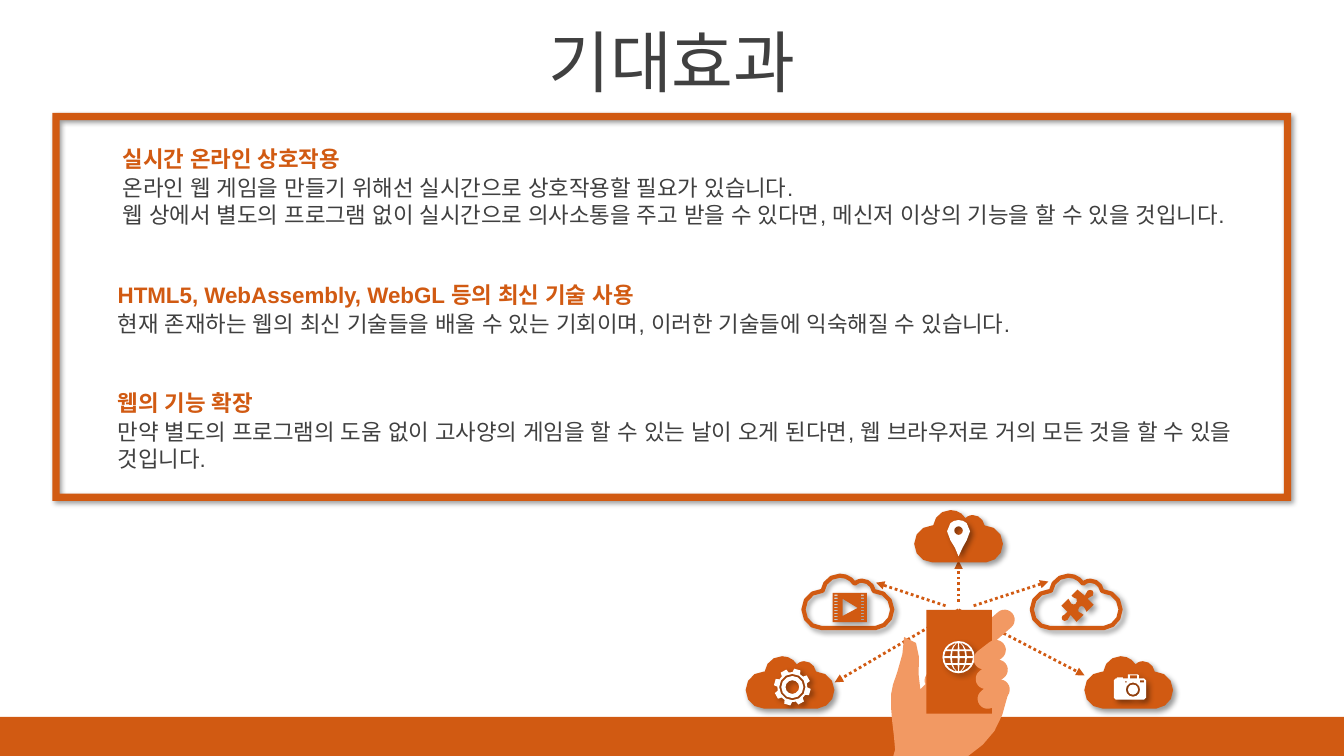
from math import cos, radians, sin, sqrt

from lxml import etree
from pptx import Presentation
from pptx.dml.color import RGBColor
from pptx.enum import dml, shapes, text
from pptx.oxml.ns import qn
from pptx.util import Pt

COLORS = {"orange": "D15A12", "skin": "F29963", "white": "FFFFFF", "gray": "404040", "black": "000000"}
FONT = "Arial"

CLOUD = """M 26 0 C 30.5 0 34.4 2.2 36.6 5.8 C 38.2 4.3 39.8 3.6 41.8 3.6
C 46 3.6 49.5 6.7 50.3 11 C 57.5 11 63.4 16.9 63.4 24.2 C 63.4 31 58.3 36.8 51.5 37.4
L 13 37.4 C 5.8 37.4 0 31.5 0 24.2 C 0 16.9 5.8 11 13 11 L 13.6 11 C 14.3 5 19.4 0 26 0"""
HAND = """M 15.8 0 C 16.6 15.8 5.8 35.3 6.5 41 C 5.8 55.4 8.6 67 9.4 80.6 L 0 112.3 L 56.2 111.6
C 58.3 103.7 58.3 95 59.8 86.4 C 79.2 73.4 85 63.4 90 41 L 61.2 4.3 L 27.4 37.4
C 23 25.9 33.1 0 15.8 0"""
PIN = """M 0 0 C 2.2 0 4.3 0.7 5.8 2.2 C 9.4 5.8 8.6 10 5.8 14.4 C 3.6 18 2.2 20.9 0 25.9
C -2.2 20.2 -2.9 18.7 -5.8 14.4 C -8.6 10 -9.4 5.8 -5.8 2.2 C -4.3 0.7 -2.2 0 0 0"""
PUZZLE = """M 22.3 0.7 C 23 1.4 23 2.9 22.3 4.3 C 20.9 5.8 19.4 5 18.7 6.5 L 23 10.8 L 18 15.8
C 16.6 14.4 17.3 13 15.8 12.2 C 15.1 11.5 13.7 11.5 13 12.2 C 12.2 13 11.5 15.1 12.2 15.8
C 14.4 17.3 14.4 16.6 15.8 18 L 10.8 23 L 6.5 18 C 5 19.4 5.8 20.2 4.3 21.6
C 2.9 23 1.4 22.3 0.7 21.6 C 0 20.9 0 19.4 0.7 18.7 C 2.2 17.3 2.9 18 4.3 15.8
L 0 11.5 L 5 6.5 C 6.5 7.9 5.8 9.4 7.2 10.1 C 7.9 10.8 9.4 10.8 10.1 10.1
C 10.8 9.4 11.5 7.9 10.8 6.5 C 8.6 5 8.6 6.5 7.2 4.3 L 11.5 0 L 16.6 4.3
C 18 2.9 17.3 2.2 18.7 0.7 C 19.4 0 21.6 0 22.3 0.7"""
CAMERA = """M 10 0 L 17 0 L 18 0.7 L 18 2.9 L 21.6 2.9 L 23 4.3 L 23 16.6 L 21.6 18 L 1.4 18
L 0 16.6 L 0 4.3 L 1.4 2.9 L 2.2 2.9 L 2.2 2.2 L 6.5 2.2 L 6.5 2.9 L 10 2.9"""


def trace(outline, steps=2):
    """Turn M, L and C commands into one contour of points."""
    points = []
    for part in outline.replace("M", "|").replace("L", "|").replace("C", "|").split("|")[1:]:
        n = [float(v) for v in part.split()]
        if len(n) == 2:
            points.append(tuple(n))
            continue
        (x0, y0), (x1, y1, x2, y2, x3, y3) = points[-1], n
        for i in range(1, steps + 1):
            t = i / steps
            a, b, c, d = (1 - t) ** 3, 3 * t * (1 - t) ** 2, 3 * t * t * (1 - t), t ** 3
            points.append((a * x0 + b * x1 + c * x2 + d * x3, a * y0 + b * y1 + c * y2 + d * y3))
    return points


def polar(radius, degrees):
    return radius * cos(radians(degrees)), radius * sin(radians(degrees))


def circle(x, y, radius, sides=12):
    return [(x + dx, y + dy) for dx, dy in (polar(radius, 360 * i / sides) for i in range(sides))]


def box(x, y, w, h):
    return [(x, y), (x + w, y), (x + w, y + h), (x, y + h)]


def gear():
    teeth = [polar(r, 45 * i - 74 + a) for i in range(8)
             for r, a in ((10.7, -15), (13.2, -10), (13.2, 10), (10.7, 15))]
    return [teeth] + [circle(0, 0, r) for r in (9.4, 7.9, 4.9)]


def film():
    holes = [box(x, 1.4 + 2.16 * i, 2.2, 0.9) for i in range(9) for x in (1.4, 20.2)]
    return [box(0, 0, 24.5, 21), [(7.2, 4.3), (7.2, 16.6), (18, 10.8)]] + holes


def globe():
    """A disc with holes between its meridians and parallels."""
    contours = [circle(0, 0, 11.5, 20)]
    for ys in ((-9.8, -8, -5.5), (-4.3, -0.7), (0.7, 4.3), (5.5, 8, 9.8)):
        half = [sqrt(10.3 ** 2 - y * y) for y in ys]
        for west, east in ((-1, -0.58), (-0.46, -0.07), (0.07, 0.46), (0.58, 1)):
            left = [(west * h, y) for h, y in zip(half, ys)]
            right = [(east * h, y) for h, y in zip(half, ys)]
            contours.append(left + right[::-1])
    return contours


def rgb(name):
    return RGBColor.from_string(COLORS[name])


def write(p, content, size=16, color="gray", bold=False, align=None):
    p.alignment = align
    r = p.add_run()
    r.text = content
    r.font.size, r.font.bold, r.font.name = Pt(size), bold, FONT
    r.font.color.rgb = rgb(color)
    etree.SubElement(r.font._element, qn("a:ea"), typeface=FONT)


class Deck:
    def __init__(self):
        self.prs = Presentation()
        self.prs.slide_width, self.prs.slide_height = Pt(960), Pt(540)
        self.shapes = self.prs.slides.add_slide(self.prs.slide_layouts[6]).shapes

    def style(self, sp, fill, line=None, shadow=False):
        if fill:
            sp.fill.solid()
            sp.fill.fore_color.rgb = rgb(fill)
        else:
            sp.fill.background()
        if line:
            sp.line.color.rgb, sp.line.width = rgb(line), Pt(3)
        else:
            sp.line.fill.background()
        sp.shadow.inherit = False
        if shadow:
            effects = sp.element.spPr.find(qn("a:effectLst"))
            outer = etree.SubElement(effects, qn("a:outerShdw"), blurRad=str(Pt(4)), dist=str(Pt(3)),
                                     dir="2700000", algn="tl", rotWithShape="0")
            color = etree.SubElement(outer, qn("a:srgbClr"), val=COLORS["black"])
            etree.SubElement(color, qn("a:alpha"), val="40000")

    def preset(self, kind, x, y, w, h, fill, adj=None, rotation=0, shadow=False):
        sp = self.shapes.add_shape(kind, Pt(x), Pt(y), Pt(w), Pt(h))
        if adj is not None:
            sp.adjustments[0] = adj
        sp.rotation = rotation
        self.style(sp, fill, shadow=shadow)

    def freeform(self, x, y, contours, fill=None, line=None, shadow=True):
        """Draw closed contours; inner ones become holes."""
        first, *rest = [[(px * 100, py * 100) for px, py in c] for c in contours]
        fb = self.shapes.build_freeform(*first[0], scale=Pt(1) / 100)
        fb.add_line_segments(first[1:], close=True)
        for contour in rest:
            fb.move_to(*contour[0])
            fb.add_line_segments(contour[1:], close=True)
        self.style(fb.convert_to_shape(Pt(x), Pt(y)), fill, line, shadow)

    def arrow(self, x1, y1, x2, y2):
        cn = self.shapes.add_connector(shapes.MSO_CONNECTOR.STRAIGHT, Pt(x1), Pt(y1), Pt(x2), Pt(y2))
        cn.line.color.rgb, cn.line.width = rgb("orange"), Pt(2)
        cn.line.dash_style = dml.MSO_LINE.ROUND_DOT
        etree.SubElement(cn.line._get_or_add_ln(), qn("a:tailEnd"), type="triangle")
        etree.SubElement(cn.element.spPr, qn("a:effectLst"))

    def text(self, x, y, w, h, lines, anchor=text.MSO_ANCHOR.TOP, **fmt):
        tf = self.shapes.add_textbox(Pt(x), Pt(y), Pt(w), Pt(h)).text_frame
        tf.word_wrap, tf.vertical_anchor = True, anchor
        for i, line in enumerate(lines):
            write(tf.add_paragraph() if i else tf.paragraphs[0], line, **fmt)


def main():
    deck = Deck()
    rect, pill = shapes.MSO_SHAPE.RECTANGLE, shapes.MSO_SHAPE.ROUNDED_RECTANGLE
    deck.preset(rect, 0, 512, 960, 28, "orange")
    deck.text(0, 13, 960, 60.5, ["기대효과"], text.MSO_ANCHOR.MIDDLE, size=48, align=text.PP_ALIGN.CENTER)

    for ends in ((684.7, 430, 684.7, 400.3), (695.5, 432.7, 748.8, 415.4), (675.4, 432.7, 625.7, 416.2),
                 (684.7, 435.6, 596.2, 487.4), (684.7, 435.6, 774.7, 482.4)):
        deck.arrow(*ends)

    deck.preset(pill, 685.4, 424.1, 14.4, 80.6, "skin", adj=0.5, rotation=49)
    deck.freeform(630, 455, [trace(HAND, 4)], "skin", shadow=False)
    deck.preset(rect, 661.7, 435.6, 46.8, 74.2, "orange")

    for x, y, solid in ((653, 364.3, True), (573.9, 411.2, False), (532.6, 468.7, True),
                        (774.5, 468.7, True), (737, 411.2, False)):
        deck.freeform(x, y, [trace(CLOUD, 3)], "orange" if solid else None, None if solid else "orange")

    camera = [trace(CAMERA), box(11.5, 0.7, 5.1, 2.2), box(18.7, 4.3, 2.9, 1.5), box(7.9, 5, 1.5, 0.8),
              circle(13.7, 10.9, 5.1), circle(13.7, 10.9, 3.6)]
    for x, y, contours, fill in ((684.7, 469.4, globe(), "white"), (594.7, 423.4, film(), "orange"),
                                 (684.7, 371.5, [trace(PIN), circle(0, 7.5, 3.1)], "white"),
                                 (758.2, 421.2, [trace(PUZZLE)], "orange"),
                                 (795.6, 481.7, camera, "white"), (566, 490.8, gear(), "white")):
        deck.freeform(x, y, contours, fill)
    for i in range(3):
        deck.preset(pill, 699.8 + 1.4 * i, 455 + 14.1 * i, 14.4, 25.2, "skin", adj=0.5, rotation=52.5)

    deck.preset(shapes.MSO_SHAPE.FRAME, 37.4, 80.6, 884.9, 277.2, "orange", adj=0.019, shadow=True)
    effects = (
        (80.6, 100.1, 65.5, "실시간 온라인 상호작용",
         ["온라인 웹 게임을 만들기 위해선 실시간으로 상호작용할 필요가 있습니다.",
          "웹 상에서 별도의 프로그램 없이 실시간으로 의사소통을 주고 받을 수 있다면, 메신저 이상의 기능을 할 수 있을 것입니다."]),
        (77, 197.3, 26.6, "HTML5, WebAssembly, WebGL 등의 최신 기술 사용",
         ["현재 존재하는 웹의 최신 기술들을 배울 수 있는 기회이며, 이러한 기술들에 익숙해질 수 있습니다."]),
        (77, 274.3, 46.1, "웹의 기능 확장",
         ["만약 별도의 프로그램의 도움 없이 고사양의 게임을 할 수 있는 날이 오게 된다면, "
          "웹 브라우저로 거의 모든 것을 할 수 있을 것입니다."]))
    for x, y, h, heading, lines in effects:
        deck.text(x, y + 20.9, 825.1, h, lines)
        deck.text(x, y, 825.1, 26.6, [heading], color="orange", bold=True)
    deck.prs.save("out.pptx")


if __name__ == "__main__":
    main()
